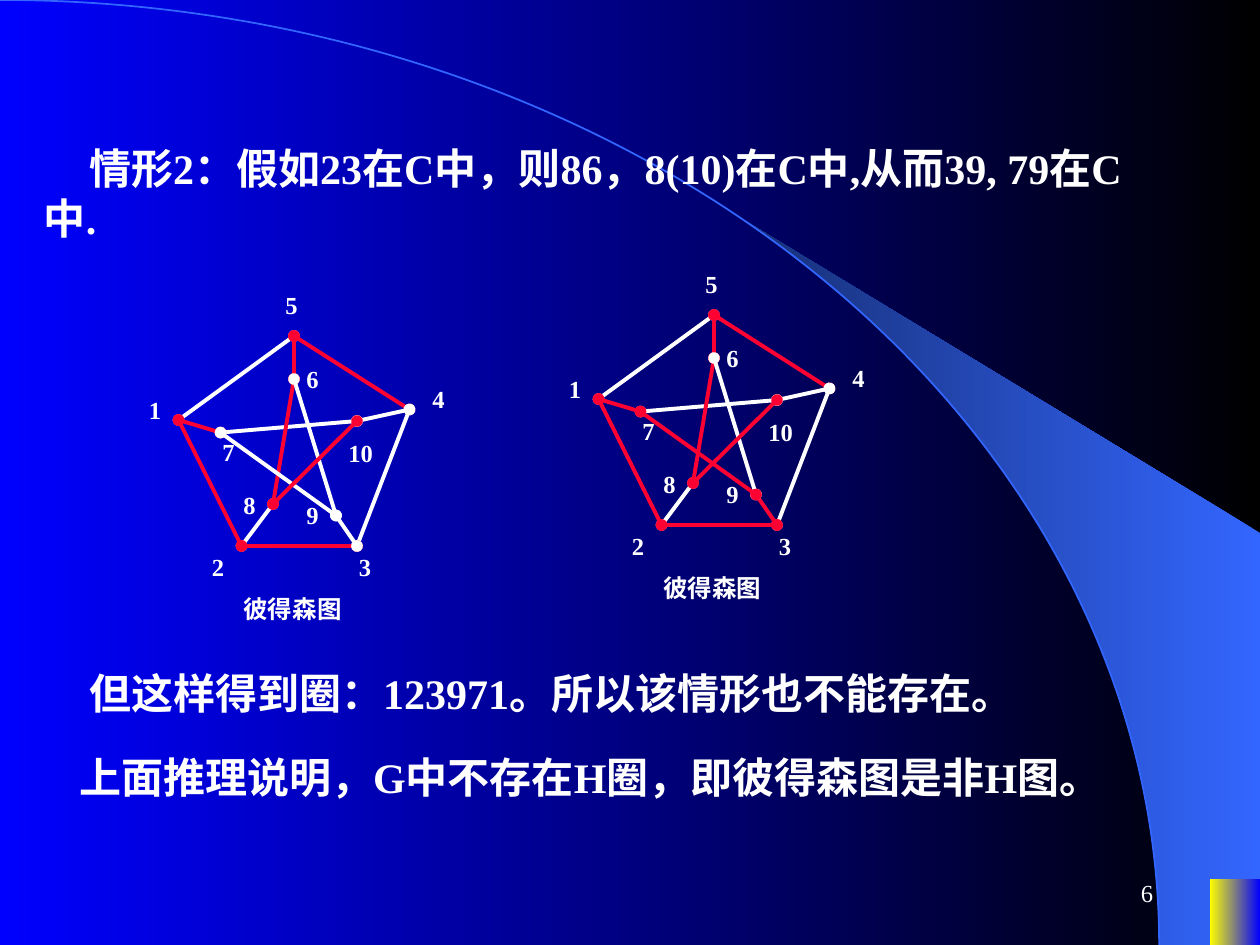
import math
from lxml import etree
from pptx import Presentation, util as u
from pptx.dml.color import RGBColor
from pptx.enum import shapes, text
from pptx.oxml.ns import qn

COLORS = {"white": "FFFFFF", "red": "FF0033", "blue": "0000FF", "black": "000000",
          "sky": "3366FF", "navy": "172F75", "yellow": "FFFF00"}
RGB = {name: RGBColor.from_string(value) for name, value in COLORS.items()}
CELL = u.Inches(1) / 12  # both graphs sit on a grid of twelfths of an inch

prs = Presentation()
prs.slide_width, prs.slide_height = u.Inches(10), u.Inches(7.5)
W, H = prs.slide_width, prs.slide_height
slide = prs.slides.add_slide(prs.slide_layouts[6])


def shade(fill, right, left):
    fill.gradient()
    fill.gradient_angle = 180
    for stop, color, position in zip(fill.gradient_stops, (right, left), (0, 1)):
        stop.color.rgb = RGB[color]
        stop.position = position


def write(parent, words, left, top, width, height, size=14, bold=True, indent=0):
    box = parent.add_textbox(*(int(v) for v in (left, top, width, height)))
    frame = box.text_frame
    frame.word_wrap = True
    paragraph = frame.paragraphs[0]
    paragraph.text = words
    if indent:
        paragraph._p.get_or_add_pPr().set("indent", str(u.Inches(indent)))
    style = {"name": "Times New Roman", "size": u.Pt(size), "bold": bold}
    for key, value in style.items():
        setattr(paragraph.runs[0].font, key, value)
    paragraph.runs[0].font.color.rgb = RGB["white"]
    return frame


# Background, with a crescent between the arc and the right edge
shade(slide.background.fill, "black", "blue")
radius_x, radius_y = 0.92 * W, H
start = math.asin(0.64)
angles = [start + (math.pi / 2 - start) * step / 30 for step in range(31)]
curve = [(radius_x * math.sin(a), radius_y * (1 - math.cos(a))) for a in angles]
builder = slide.shapes.build_freeform(*(int(v) for v in curve[0]))
builder.add_line_segments([(int(x), int(y)) for x, y in curve[1:]]
                          + [(W, H), (W, int(0.564 * H))], close=True)
crescent = builder.convert_to_shape()
crescent.shadow.inherit = False
crescent.line.fill.background()
shade(crescent.fill, "sky", "navy")

arc = slide.shapes.add_shape(shapes.MSO_SHAPE.ARC, int(-radius_x), 0,
                             int(2 * radius_x), 2 * H)
arc.shadow.inherit = False
arc.fill.background()
arc.line.color.rgb = RGB["sky"]
arc.line.width = u.Pt(1)

corner = slide.shapes.add_shape(shapes.MSO_SHAPE.RECTANGLE, int(0.96 * W), int(0.93 * H),
                                int(0.04 * W), int(0.07 * H))
corner.shadow.inherit = False
corner.line.fill.background()
shade(corner.fill, "blue", "yellow")

# Argument: words, left, top, width, height as shares of the slide
statements = [
    ("情形2：假如23在C中，则86，8(10)在C中,从而39, 79在C中.", 0.025, 0.144, 0.892, 0.13),
    ("但这样得到圈：123971。所以该情形也不能存在。", 0.025, 0.7, 0.883, 0.076),
    ("上面推理说明，G中不存在H圈，即彼得森图是非H图。", 0.017, 0.789, 0.883, 0.076),
]
for words, left, top, width, height in statements:
    write(slide.shapes, words, left * W, top * H, width * W, height * H,
          size=24, indent=0.36)

# Petersen graphs: vertices and labels as (column, row) of the grid
vertices = {1: (17, 40), 2: (23, 52), 3: (34, 52), 4: (39, 39), 5: (28, 32),
            6: (28, 36.1), 7: (21, 41.2), 8: (26, 48), 9: (32, 49.1), 10: (34, 40.1)}
labels = {1: (13, 37), 2: (19, 52), 3: (33, 52), 4: (40, 36), 5: (26, 27),
          6: (28, 34.1), 7: (20, 41), 8: (22, 46.1), 9: (28, 47), 10: (32, 41.1)}
edges = [(8, 2), (7, 10), (5, 1), (5, 4), (1, 2), (4, 3), (2, 3), (5, 6),
         (1, 7), (10, 4), (9, 3), (6, 8), (6, 9), (7, 9), (10, 8)]
cycle_edges = {(5, 4), (1, 2), (2, 3), (5, 6), (1, 7), (6, 8), (10, 8)}
graphs = [(0, 0, cycle_edges), (40, -2, cycle_edges | {(7, 9), (9, 3)})]

for shift_x, shift_y, red_edges in graphs:
    graph = slide.shapes.add_group_shape().shapes
    for edge in edges:
        ends = [int(CELL * value) for vertex in edge
                for value in (vertices[vertex][0] + shift_x, vertices[vertex][1] + shift_y)]
        link = graph.add_connector(shapes.MSO_CONNECTOR.STRAIGHT, *ends)
        link.line.color.rgb = RGB["red" if edge in red_edges else "white"]
        link.line.width = u.Pt(2.25)
        for tag in ("a:headEnd", "a:tailEnd"):
            etree.SubElement(link.line._get_or_add_ln(), qn(tag), type="oval")
        etree.SubElement(link._element.spPr, qn("a:effectLst"))
    for vertex, (column, row) in labels.items():
        write(graph, str(vertex), CELL * (column + shift_x), CELL * (row + shift_y),
              CELL * (6 if vertex == 10 else 4.2), CELL * 4)
    write(graph, "彼得森图", CELL * (22 + shift_x), CELL * (56 + shift_y), CELL * 15, CELL * 4)

# Page number
page = write(slide.shapes, "6", 0.717 * W, 0.911 * H, 0.208 * W, 0.067 * H, bold=False)
page.vertical_anchor = text.MSO_ANCHOR.MIDDLE
page.paragraphs[0].alignment = text.PP_ALIGN.RIGHT

prs.save("out.pptx")
